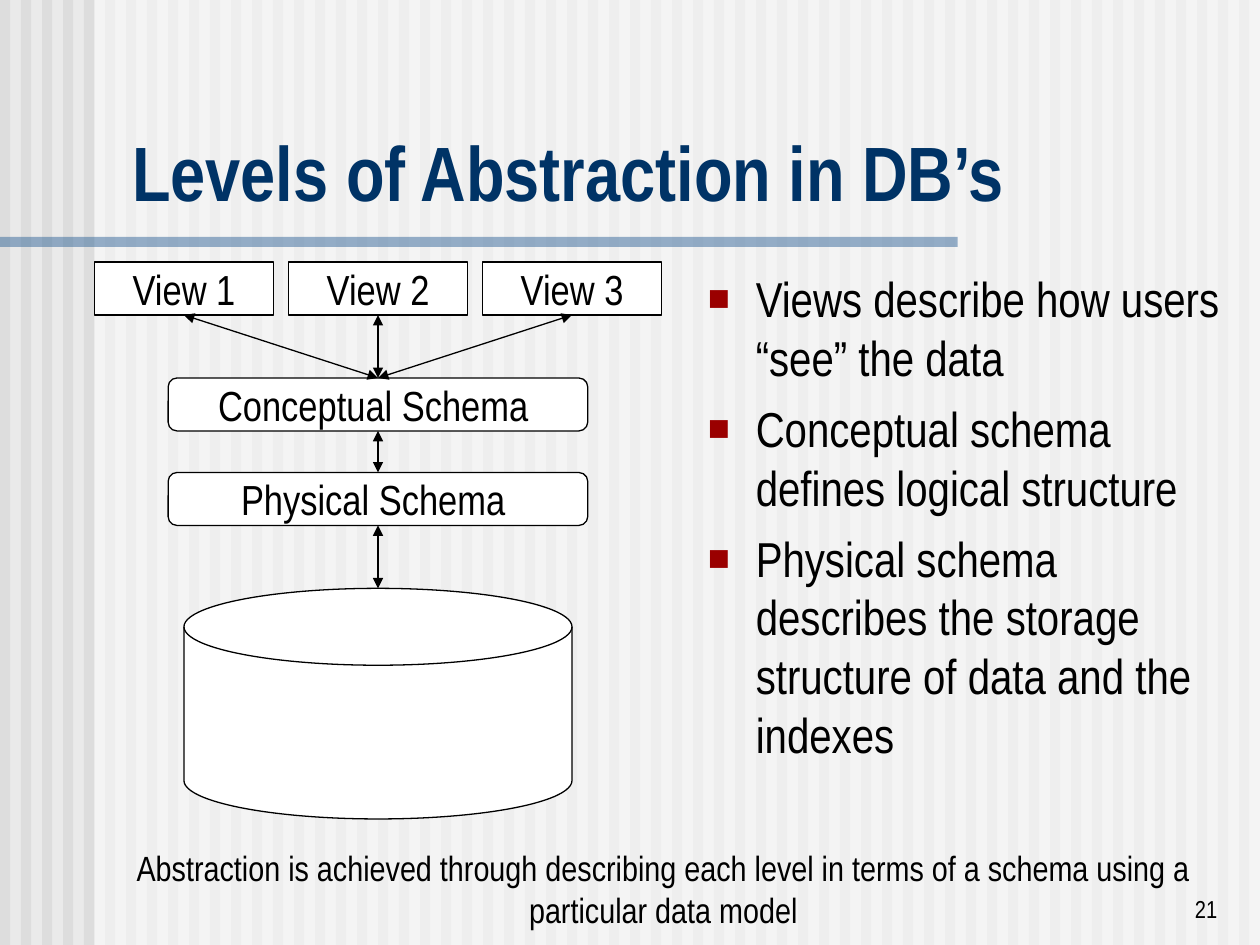
from lxml.etree import SubElement
from pptx import Presentation
from pptx.dml.color import RGBColor
from pptx.enum.shapes import MSO_CONNECTOR, MSO_SHAPE as Kind
from pptx.enum.text import MSO_ANCHOR as Anchor, PP_ALIGN as Align
from pptx.oxml.ns import qn
from pptx.util import Inches, Pt

FONT = "Arial Narrow"
TITLE = "Levels of Abstraction in DB’s"
POINTS = [
    "Views describe how users “see” the data",
    "Conceptual schema defines logical structure",
    "Physical schema describes the storage structure of data and the indexes",
]
VIEWS = ["View 1", "View 2", "View 3"]
SCHEMAS = [("Conceptual Schema ", 3), ("Physical Schema ", 3.75)]
FOOTER = ("Abstraction is achieved through describing each level in terms "
          "of a schema using a particular data model")
PAGE = "21"

MID = 3             # centre line of the diagram
VIEW_TOP = 2.08
VIEW_W, VIEW_STEP = 1.42, 1.54
SCHEMA_W, BOX_H = 3.33, 0.42
DISK_TOP, DISK_W, DISK_H = 4.67, 3.08, 1.83
STRIPES = 60


def paint(fill, color, alpha=None):
    fill.solid()
    fill.fore_color.rgb = RGBColor.from_string(color)
    if alpha:
        tint = fill._xPr.find(qn("a:solidFill"))[0]
        SubElement(tint, qn("a:alpha"), val=str(alpha * 1000))


def style(para, size, color="000000", bold=False, align=Align.LEFT):
    para.alignment = align
    font = para.font
    font.name, font.size, font.bold = FONT, Pt(size), bold
    font.color.rgb = RGBColor.from_string(color)


def add_shape(kind, x, y, w, h, color="FFFFFF", alpha=None, line=False):
    shape = shapes.add_shape(kind, *map(Inches, (x, y, w, h)))
    shape.shadow.inherit = False
    paint(shape.fill, color, alpha)
    if line:
        paint(shape.line.fill, "000000")
        shape.line.width = Pt(0.75)
    else:
        shape.line.fill.background()
    return shape


def add_node(kind, y, w, h, text="", mid=MID):
    """Add an outlined diagram part centred on mid."""
    shape = add_shape(kind, mid - w / 2, y, w, h, line=True)
    if text:
        frame = shape.text_frame
        frame.word_wrap = False
        frame.vertical_anchor = Anchor.MIDDLE
        frame.text = text
        style(frame.paragraphs[0], 24, align=Align.CENTER)


def add_arrow(x1, y1, x2, y2):
    """Add a line with a head at both ends."""
    arrow = shapes.add_connector(MSO_CONNECTOR.STRAIGHT,
                                 *map(Inches, (x1, y1, x2, y2)))
    paint(arrow.line.fill, "000000")
    arrow.line.width = Pt(0.75)
    line = arrow.line._get_or_add_ln()
    for end in ("a:headEnd", "a:tailEnd"):
        SubElement(line, qn(end), type="triangle")
    SubElement(arrow._element.spPr, qn("a:effectLst"))


def add_text(x, y, w, h, text, anchor, size, **look):
    frame = shapes.add_textbox(*map(Inches, (x, y, w, h))).text_frame
    frame.word_wrap = True
    frame.vertical_anchor = anchor
    frame.text = text
    for para in frame.paragraphs:
        style(para, size, **look)
    return frame


def add_bullet(para):
    props = para._p.get_or_add_pPr()
    props.set("marL", str(Inches(0.38)))
    props.set("indent", str(-Inches(0.38)))
    tint = SubElement(props, qn("a:buClr"))
    SubElement(tint, qn("a:srgbClr"), val="9A0000")
    SubElement(props, qn("a:buSzPct"), val="75000")
    SubElement(props, qn("a:buFont"), typeface="Arial")
    SubElement(props, qn("a:buChar"), char="■")


prs = Presentation()
prs.slide_width, prs.slide_height = Inches(10), Inches(7.5)
slide = prs.slides.add_slide(prs.slide_layouts[6])
shapes = slide.shapes

# Striped backdrop, veil and title rule
paint(slide.background.fill, "EAEAEA")
for i in range(STRIPES):
    add_shape(Kind.RECTANGLE, i * 10 / STRIPES, 0, 0.08, 7.5, "DDDDDD")
add_shape(Kind.RECTANGLE, 0.75, 0, 9.25, 7.5, "FFFFFF", 50)
add_shape(Kind.RECTANGLE, 0, 1.88, 7.6, 0.08, "336699", 50)

add_text(0.95, 0.94, 8.93, 0.83, TITLE, Anchor.BOTTOM, 44,
         color="003366", bold=True)

body = add_text(5.52, 2.08, 4.35, 4.58, "", Anchor.TOP, 28)
for i, point in enumerate(POINTS):
    para = body.add_paragraph() if i else body.paragraphs[0]
    para.text = point
    if i:
        para.space_before = Pt(7)
    add_bullet(para)
    style(para, 28)

# Diagram: views, schemas, disk, then the arrows between levels
view_mids = [MID + (i - 1) * VIEW_STEP for i in range(len(VIEWS))]
for name, mid in zip(VIEWS, view_mids):
    add_node(Kind.FLOWCHART_PROCESS, VIEW_TOP, VIEW_W, BOX_H, name, mid)
for name, top in SCHEMAS:
    add_node(Kind.FLOWCHART_ALTERNATE_PROCESS, top, SCHEMA_W, BOX_H, name)
add_node(Kind.FLOWCHART_MAGNETIC_DISK, DISK_TOP, DISK_W, DISK_H)

tops = [top for _, top in SCHEMAS] + [DISK_TOP]
for mid in view_mids:
    add_arrow(mid, VIEW_TOP + BOX_H, MID, tops[0])
for upper, lower in zip(tops, tops[1:]):
    add_arrow(MID, upper + BOX_H, MID, lower)

add_text(0.83, 6.67, 8.87, 0.77, FOOTER, Anchor.MIDDLE, 20,
         align=Align.CENTER)
add_text(7.68, 6.88, 2.08, 0.5, PAGE, Anchor.BOTTOM, 14, align=Align.RIGHT)

prs.save("out.pptx")
